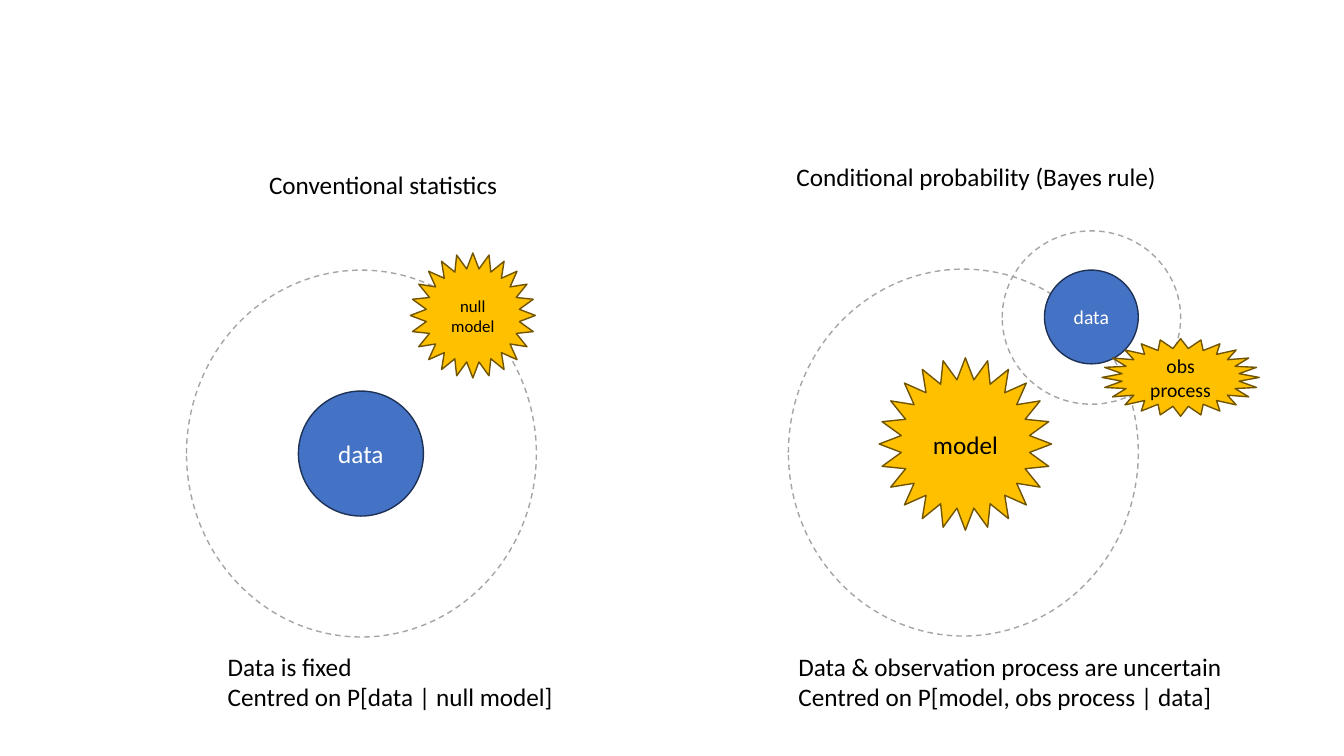
from pptx import Presentation
from pptx.dml.color import RGBColor
from pptx.enum.dml import MSO_LINE
from pptx.enum.shapes import MSO_SHAPE as Preset
from pptx.enum.text import MSO_ANCHOR as Anchor, MSO_AUTO_SIZE as AutoSize, PP_ALIGN as Align
from pptx.util import Inches, Pt

COLORS = {
    "white": "FFFFFF", "black": "000000", "ring": "A5A5A5",
    "data": "4472C4", "data_edge": "1E3256",
    "model": "FFC000", "model_edge": "705400",
}
FONT = "Calibri"
RING_WIDTH, RING_HEIGHT = 3.47, 3.64


def color(name):
    return RGBColor.from_string(COLORS[name])


def write_lines(frame, lines, size, ink, align):
    for index, line in enumerate(lines):
        para = frame.paragraphs[0] if index == 0 else frame.add_paragraph()
        para.alignment = align
        span = para.add_run()
        span.text = line
        span.font.name = FONT
        span.font.size = Pt(size)
        span.font.color.rgb = color(ink)


def add_outline(page, preset, box, fill, edge):
    shape = page.shapes.add_shape(preset, *map(Inches, box))
    shape.shadow.inherit = False
    if fill:
        shape.fill.solid()
        shape.fill.fore_color.rgb = color(fill)
    else:
        shape.fill.background()
    shape.line.color.rgb = color(edge)
    shape.line.width = Pt(1)
    return shape


def add_ring(page, box, fill=None):
    ring = add_outline(page, Preset.FLOWCHART_CONNECTOR, box, fill, "ring")
    ring.line.dash_style = MSO_LINE.DASH


def add_label(page, preset, box, kind, lines, size, ink):
    shape = add_outline(page, preset, box, kind, kind + "_edge")
    frame = shape.text_frame
    frame.word_wrap = True
    frame.vertical_anchor = Anchor.MIDDLE
    write_lines(frame, lines, size, ink, Align.CENTER)


def add_data(page, left, top, side, size):
    add_label(page, Preset.OVAL, (left, top, side, side), "data", ["data"], size, "white")


def add_star(page, box, lines, size):
    add_label(page, Preset.STAR_24_POINT, box, "model", lines, size, "black")


def add_caption(page, box, lines):
    frame = page.shapes.add_textbox(*map(Inches, box)).text_frame
    frame.word_wrap = False
    frame.auto_size = AutoSize.SHAPE_TO_FIT_TEXT
    write_lines(frame, lines, 18, "black", Align.LEFT)


def conventional_panel(page, left, top):
    add_ring(page, (left, top, RING_WIDTH, RING_HEIGHT), "white")
    add_data(page, left + 1.11, top + 1.2, 1.24, 18)
    add_star(page, (left + 2.22, top - 0.17, 1.24, 1.24), ["null", "model"], 12)
    add_caption(page, (left + 0.72, top - 1.05, 2.49, 0.4), ["Conventional statistics"])
    add_caption(page, (left + 0.31, top + 3.73, 3.47, 0.71),
                ["Data is fixed", "Centred on P[data | null model]"])


def conditional_panel(page, left, top):
    add_ring(page, (left, top, RING_WIDTH, RING_HEIGHT), "white")
    add_data(page, left + 2.54, top + 0.01, 0.93, 14)
    add_star(page, (left + 0.9, top + 0.88, 1.71, 1.71), ["model"], 18)
    add_caption(page, (left - 0.02, top - 1.12, 3.81, 0.4),
                ["Conditional probability (Bayes rule)"])
    add_caption(page, (left, top + 3.74, 4.45, 0.71),
                ["Data & observation process are uncertain",
                 "Centred on P[model, obs process | data]"])
    add_ring(page, (left + 2.12, top - 0.38, 1.77, 1.72))
    add_star(page, (left + 3.11, top + 0.69, 1.56, 0.77), ["obs", "process"], 14)


def main():
    deck = Presentation()
    deck.slide_width, deck.slide_height = Inches(13.33), Inches(7.5)
    page = deck.slides.add_slide(deck.slide_layouts[6])
    page.background.fill.solid()
    page.background.fill.fore_color.rgb = color("white")
    conventional_panel(page, 1.85, 2.68)
    conditional_panel(page, 7.82, 2.67)
    deck.save("out.pptx")


if __name__ == "__main__":
    main()
